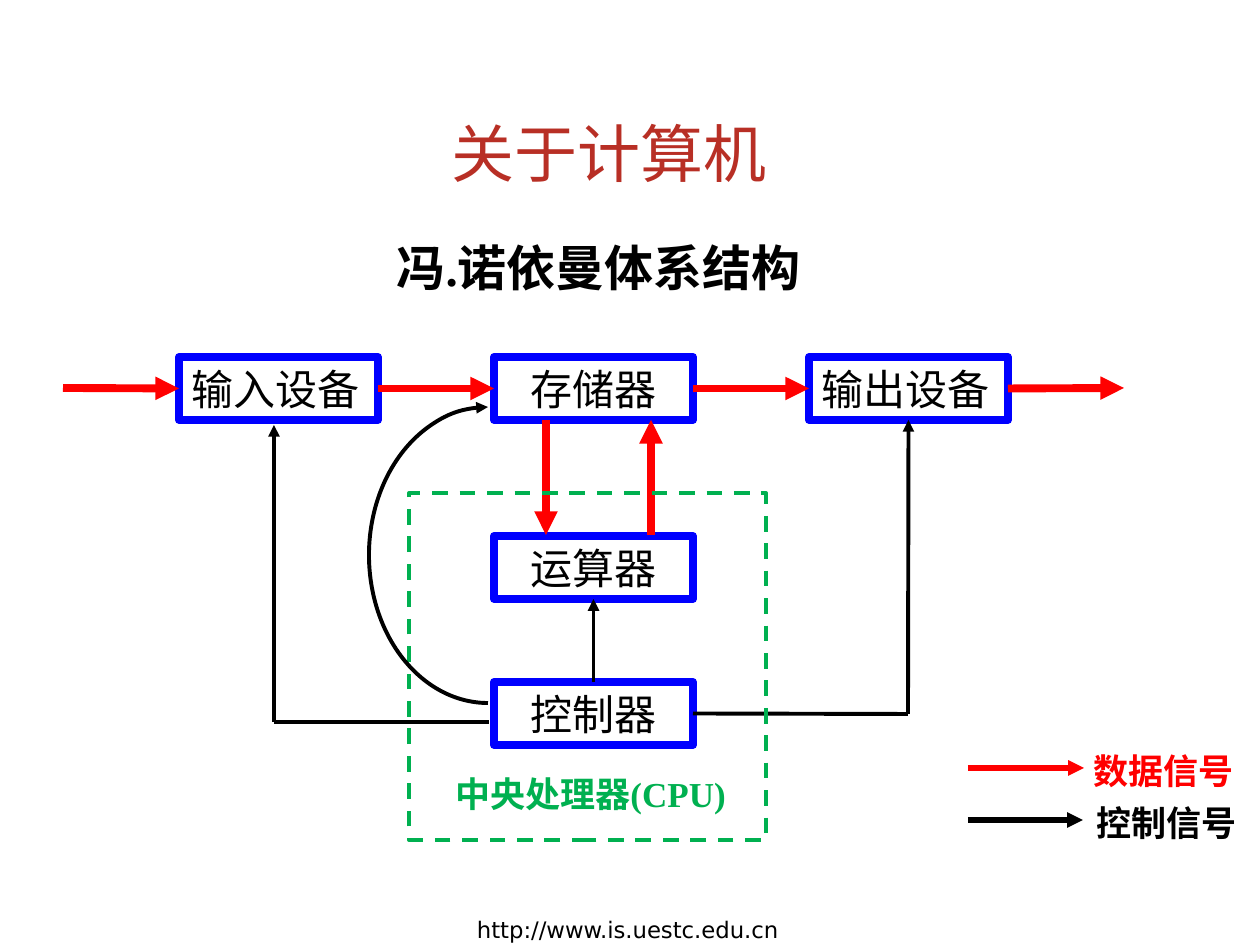
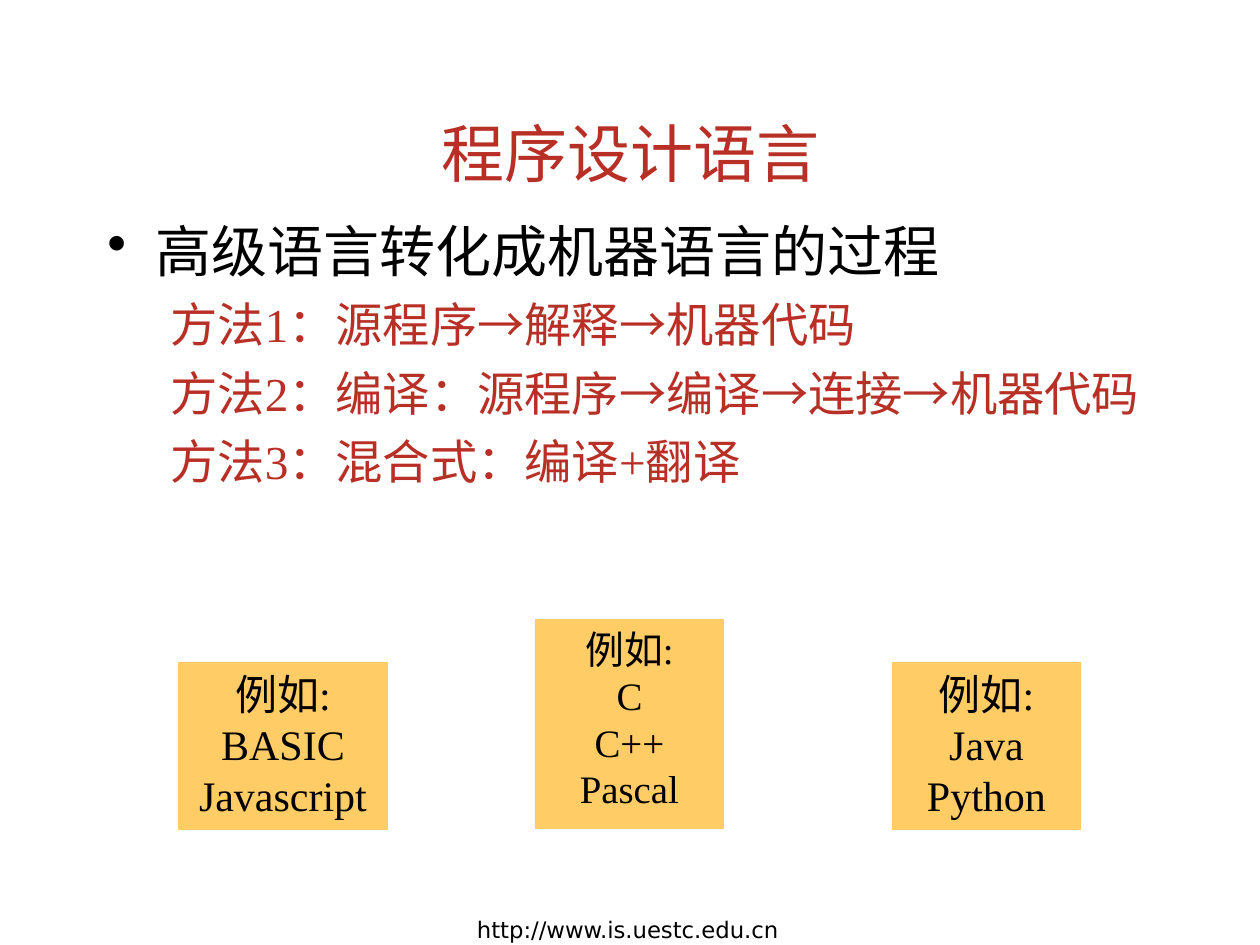
"""Build two slides on computer architecture and programming languages."""
import itertools

import lxml.etree
import pptx
import pptx.dml.color
import pptx.enum.dml
import pptx.enum.lang
import pptx.enum.shapes
import pptx.enum.text
import pptx.oxml.ns
import pptx.util

PX = 914400 / 126
RED = pptx.dml.color.RGBColor(0xFF, 0x00, 0x00)
BLUE = pptx.dml.color.RGBColor(0x00, 0x00, 0xFF)
GREEN = pptx.dml.color.RGBColor(0x00, 0xB0, 0x50)
BRICK = pptx.dml.color.RGBColor(0xB8, 0x2F, 0x25)
SAND = pptx.dml.color.RGBColor(0xFF, 0xCC, 0x66)
BLACK = pptx.dml.color.RGBColor(0x00, 0x00, 0x00)
WHITE = pptx.dml.color.RGBColor(0xFF, 0xFF, 0xFF)
SERIF = "Times New Roman"
SHAPE = pptx.enum.shapes.MSO_SHAPE
ALIGN = pptx.enum.text.PP_ALIGN
ANCHOR = pptx.enum.text.MSO_ANCHOR
CHINESE = pptx.enum.lang.MSO_LANGUAGE_ID.SIMPLIFIED_CHINESE
qn = pptx.oxml.ns.qn


def write(tf, text, size=24, color=BLACK, font=SERIF, bold=False,
          align=ALIGN.CENTER, anchor=ANCHOR.TOP, before=0):
    tf.word_wrap = True
    tf.auto_size = pptx.enum.text.MSO_AUTO_SIZE.NONE
    tf.vertical_anchor = anchor
    p = tf.paragraphs[0] if not tf.text else tf.add_paragraph()
    p.alignment = align
    if before:
        p.space_before = pptx.util.Pt(before)
    for is_arrow, chars in itertools.groupby(text, lambda ch: ch == "→"):
        r = p.add_run()
        r.text = "".join(chars)
        r.font.name = "Arial" if is_arrow else font
        r.font.size = pptx.util.Pt(size)
        r.font.bold = bold
        r.font.color.rgb = color
        r.font.language_id = CHINESE
    return p


def connect(slide, start, end, color, width, head=True):
    points = [point if isinstance(point[0], int) else (0, 0) for point in (start, end)]
    line = slide.shapes.add_connector(
        pptx.enum.shapes.MSO_CONNECTOR.STRAIGHT,
        *(round(v * PX) for point in points for v in point))
    if not isinstance(start[0], int):
        line.begin_connect(*start)
    if not isinstance(end[0], int):
        line.end_connect(*end)
    line.line.color.rgb = color
    line.line.width = pptx.util.Pt(width)
    if head:
        lxml.etree.SubElement(line.line._get_or_add_ln(), qn("a:tailEnd"), type="triangle")
    lxml.etree.SubElement(line._element.spPr, qn("a:effectLst"))


prs = pptx.Presentation()
prs.slide_width = round(1260 * PX)
prs.slide_height = round(945 * PX)

slides = []
for title, left in [("关于计算机", 73), ("程序设计语言", 95)]:
    slide = prs.slides.add_slide(prs.slide_layouts[5])
    slides.append(slide)
    footer = slide.shapes.add_shape(
        SHAPE.RECTANGLE, *(round(v * PX) for v in (466, 916, 323, 28)))
    footer.shadow.inherit = False
    footer.fill.solid()
    footer.fill.fore_color.rgb = WHITE
    footer.line.fill.background()
    tf = footer.text_frame
    tf.margin_left = tf.margin_right = tf.margin_top = tf.margin_bottom = 0
    write(tf, "http://www.is.uestc.edu.cn", size=13, font="DejaVu Sans")
    sp = slide.shapes.title
    sp.left, sp.top, sp.width, sp.height = (round(v * PX) for v in (left, 105, 1071, 95))
    write(sp.text_frame, title, size=36, color=BRICK, font="Arial", anchor=ANCHOR.MIDDLE)

architecture, languages = slides

units = {}
for name, column, top, align in [
    ("输入设备", 0, 357, ALIGN.LEFT),
    ("输出设备", 2, 357, ALIGN.LEFT),
    ("存储器", 1, 357, ALIGN.CENTER),
    ("运算器", 1, 536, ALIGN.CENTER),
    ("控制器", 1, 682, ALIGN.CENTER),
]:
    sp = architecture.shapes.add_shape(
        SHAPE.RECTANGLE, *(round(v * PX) for v in (179 + 315 * column, top, 199, 63)))
    sp.shadow.inherit = False
    sp.fill.background()
    sp.line.color.rgb = BLUE
    sp.line.width = pptx.util.Pt(4.5)
    write(sp.text_frame, name, align=align)
    units[name] = sp

for start, end, color, width, head in [
    ((63, 388), (units["输入设备"], 1), RED, 4.5, True),
    ((units["输入设备"], 3), (units["存储器"], 1), RED, 4.5, True),
    ((units["存储器"], 3), (units["输出设备"], 1), RED, 4.5, True),
    ((units["输出设备"], 3), (1124, 388), RED, 4.5, True),
    ((651, 535), (651, 420), RED, 4.5, True),
    ((546, 420), (546, 535), RED, 4.5, True),
    ((274, 722), (274, 425), BLACK, 2.25, True),
    ((274, 722), (489, 722), BLACK, 2.25, False),
    ((units["控制器"], 3), (908, 714), BLACK, 2.25, False),
    ((908, 714), (units["输出设备"], 2), BLACK, 2.25, True),
    ((units["控制器"], 0), (units["运算器"], 2), BLACK, 2.25, True),
    ((968, 768), (1084, 768), RED, 3, True),
    ((968, 820), (1083, 820), BLACK, 3, True),
]:
    connect(architecture, start, end, color, width, head)

cpu = architecture.shapes.add_shape(
    SHAPE.RECTANGLE, *(round(v * PX) for v in (409, 493, 357, 347)))
cpu.line.color.rgb = GREEN
cpu.line.dash_style = pptx.enum.dml.MSO_LINE.DASH

feedback = architecture.shapes.add_shape(
    SHAPE.ARC, *(round(v * PX) for v in (369, 407, 238, 296)))
feedback.adjustments[0] = 54
feedback.adjustments[1] = 162
feedback.line.color.rgb = BLACK

for sp in (cpu, feedback):
    sp.shadow.inherit = False
    sp.fill.background()
    sp.line.width = pptx.util.Pt(2.25)
lxml.etree.SubElement(feedback.line._get_or_add_ln(), qn("a:tailEnd"), type="triangle")

for text, area, size, color in [
    ("冯.诺依曼体系结构", (63, 231, 1071, 84), 28, BLACK),
    ("中央处理器(CPU)", (399, 766, 383, 55), 20, GREEN),
    ("数据信号", (1058, 743, 212, 55), 20, RED),
    ("控制信号", (1061, 795, 212, 55), 20, BLACK),
]:
    sp = architecture.shapes.add_textbox(*(round(v * PX) for v in area))
    write(sp.text_frame, text, size=size, color=color, bold=True)

body = languages.shapes.add_textbox(*(round(v * PX) for v in (95, 210, 1071, 662)))
p = write(body.text_frame, "高级语言转化成机器语言的过程", size=32, align=ALIGN.LEFT)
pPr = p._p.get_or_add_pPr()
pPr.set("marL", str(round(48 * PX)))
pPr.set("indent", str(round(-48 * PX)))
lxml.etree.SubElement(pPr, qn("a:buChar"), char="•")

for method in [
    "方法1：源程序→解释→机器代码",
    "方法2：编译：源程序→编译→连接→机器代码",
    "方法3：混合式：编译+翻译",
]:
    p = write(body.text_frame, method, size=27, color=BRICK, align=ALIGN.LEFT, before=6.8)
    p.level = 1
    pPr = p._p.get_or_add_pPr()
    pPr.set("marL", str(round(102 * PX)))
    pPr.set("indent", str(round(-39 * PX)))

for area, size, examples in [
    ((178, 662, 210, 168), 24, ["BASIC", "Javascript"]),
    ((535, 619, 189, 210), 22.2, ["C", "C++", "Pascal"]),
    ((892, 662, 189, 168), 24, ["Java", "Python"]),
]:
    sp = languages.shapes.add_shape(
        SHAPE.FLOWCHART_PROCESS, *(round(v * PX) for v in area))
    sp.shadow.inherit = False
    sp.fill.solid()
    sp.fill.fore_color.rgb = SAND
    sp.line.fill.background()
    for text in ["例如:", *examples]:
        write(sp.text_frame, text, size=size)

prs.save("out.pptx")
